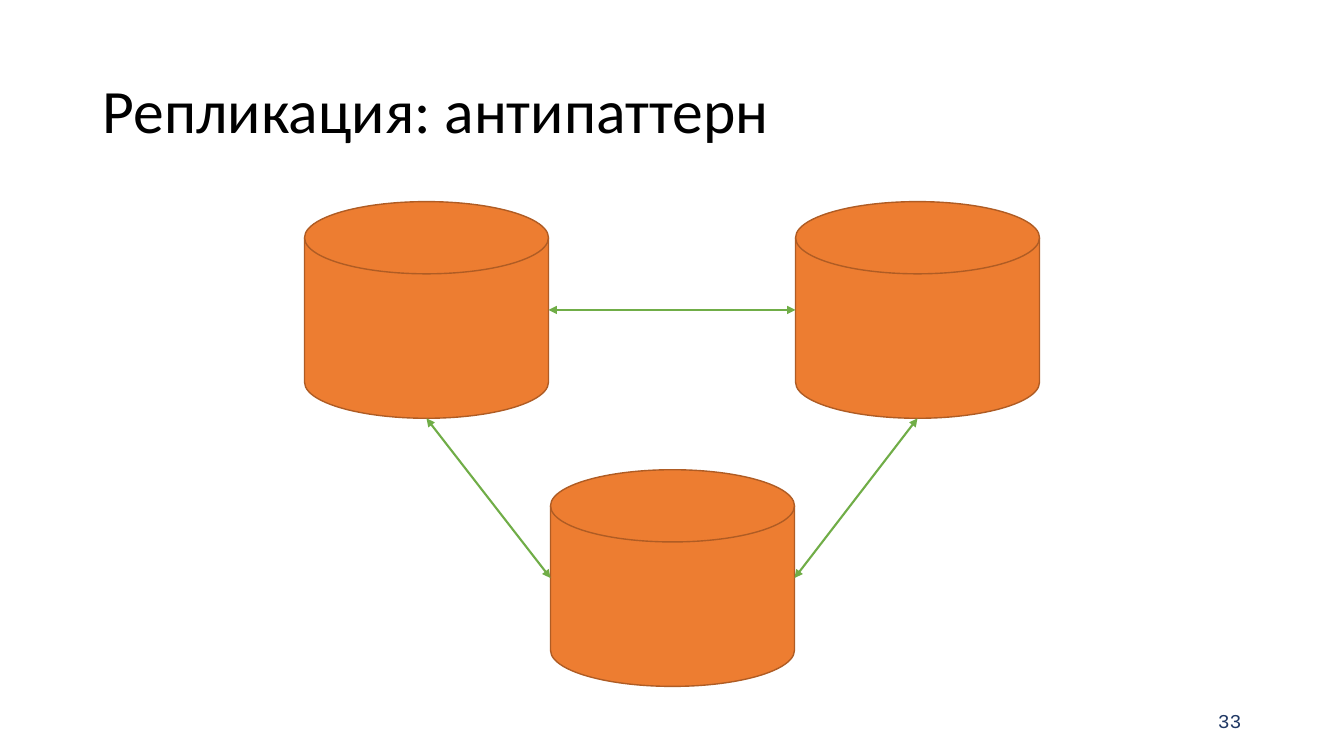
import dataclasses

import lxml.etree
import pptx
import pptx.dml.color
import pptx.enum.shapes
import pptx.enum.text
import pptx.oxml.ns
import pptx.util

Inches = pptx.util.Inches
Pt = pptx.util.Pt
qn = pptx.oxml.ns.qn
PP_ALIGN = pptx.enum.text.PP_ALIGN

COLORS = {
    "background": "FFFFFF",
    "title": "000000",
    "number": "203864",
    "disk": "ED7D31",
    "disk_line": "AF5C24",
    "arrow": "70AD47",
}
DISK_WIDTH, DISK_HEIGHT = 2.42, 2.15
LEFT, BOTTOM, RIGHT = 1, 2, 3
DISK_SITE_OFFSET = 1


@dataclasses.dataclass(frozen=True)
class Disk:
    name: str
    left: float
    top: float


@dataclasses.dataclass(frozen=True)
class Link:
    start: str
    start_side: int
    end: str
    end_side: int


DISKS = [
    Disk("left", 3.02, 2),
    Disk("right", 7.89, 2),
    Disk("bottom", 5.46, 4.66),
]
LINKS = [
    Link("bottom", RIGHT, "right", BOTTOM),
    Link("left", BOTTOM, "bottom", LEFT),
    Link("left", RIGHT, "right", LEFT),
]


def rgb(name: str) -> pptx.dml.color.RGBColor:
    return pptx.dml.color.RGBColor.from_string(COLORS[name])


def place(sp, left: float, top: float, width: float, height: float) -> None:
    box = {"left": left, "top": top, "width": width, "height": height}
    for attr, value in box.items():
        setattr(sp, attr, Inches(value))


def write(sp, text: str, font: dict, color: str, align, spacing: float) -> None:
    tf = sp.text_frame
    frame = {
        "word_wrap": True,
        "auto_size": pptx.enum.text.MSO_AUTO_SIZE.NONE,
        "vertical_anchor": pptx.enum.text.MSO_ANCHOR.MIDDLE,
    }
    for attr, value in frame.items():
        setattr(tf, attr, value)
    p = tf.paragraphs[0]
    p.alignment = align
    p.line_spacing = spacing
    r = p.add_run()
    r.text = text
    for attr, value in font.items():
        setattr(r.font, attr, value)
    r.font.color.rgb = rgb(color)


def add_disk(s, disk: Disk):
    sp = s.shapes.add_shape(
        pptx.enum.shapes.MSO_SHAPE.FLOWCHART_MAGNETIC_DISK,
        Inches(disk.left), Inches(disk.top),
        Inches(DISK_WIDTH), Inches(DISK_HEIGHT),
    )
    sp.shadow.inherit = False
    sp.fill.solid()
    sp.fill.fore_color.rgb = rgb("disk")
    sp.line.color.rgb = rgb("disk_line")
    sp.line.width = Pt(1)
    return sp


def add_link(s, link: Link, disks: dict) -> None:
    cxn = s.shapes.add_connector(
        pptx.enum.shapes.MSO_CONNECTOR.STRAIGHT, 0, 0, 0, 0)
    cxn.begin_connect(disks[link.start], link.start_side)
    cxn.end_connect(disks[link.end], link.end_side)
    for tag, side in (("a:stCxn", link.start_side), ("a:endCxn", link.end_side)):
        site = next(cxn._element.iter(qn(tag)))
        site.set("idx", str(side + DISK_SITE_OFFSET))
    cxn.line.color.rgb = rgb("arrow")
    cxn.line.width = Pt(1.5)
    ln = cxn.line._get_or_add_ln()
    for tag in ("a:headEnd", "a:tailEnd"):
        lxml.etree.SubElement(ln, qn(tag), type="triangle")
    lxml.etree.SubElement(cxn._element.spPr, qn("a:effectLst"))


def main() -> None:
    prs = pptx.Presentation()
    prs.slide_width, prs.slide_height = Inches(13.33), Inches(7.5)
    s = prs.slides.add_slide(prs.slide_layouts[5])
    s.background.fill.solid()
    s.background.fill.fore_color.rgb = rgb("background")

    title = s.shapes.title
    place(title, 0.92, 0.4, 11.5, 1.45)
    write(title, "Репликация: антипаттерн",
          {"name": "Calibri", "size": Pt(44)}, "title", PP_ALIGN.LEFT, 0.9)

    number = s.shapes.add_textbox(0, 0, 0, 0)
    place(number, 9.42, 6.95, 2.99, 0.4)
    write(number, "33", {"name": "Courier New", "size": Pt(14)},
          "number", PP_ALIGN.RIGHT, 1.0)

    disks = {disk.name: add_disk(s, disk) for disk in DISKS}
    for link in LINKS:
        add_link(s, link, disks)

    prs.save("out.pptx")


if __name__ == "__main__":
    main()
